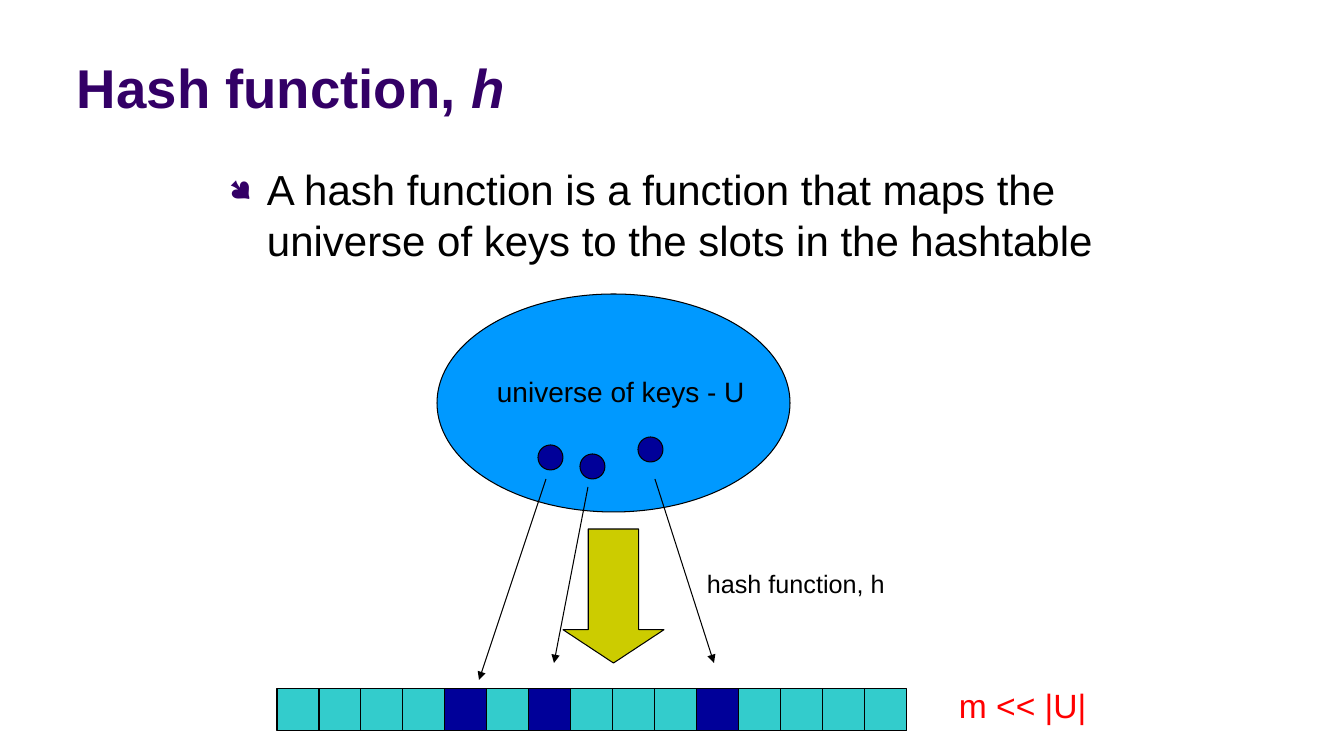
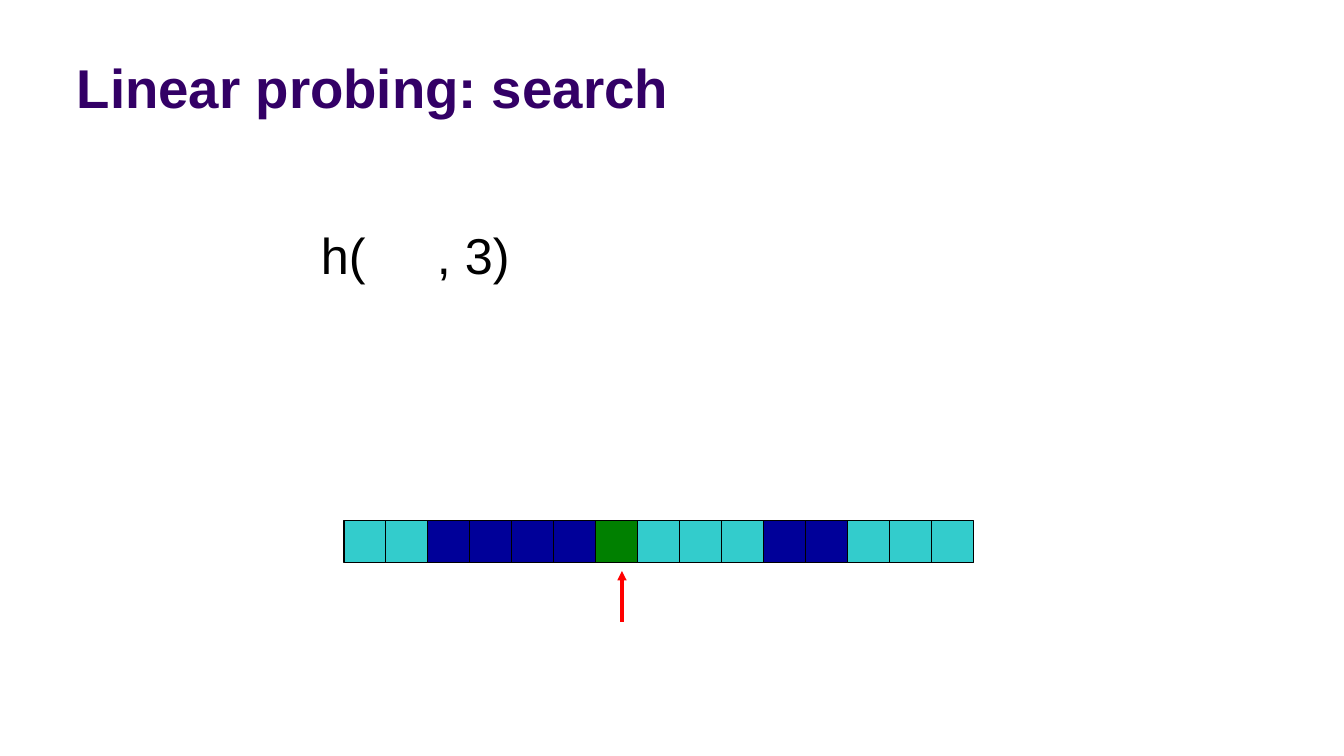
import pptx
import pptx.dml.color
import pptx.enum.shapes
import pptx.enum.text
import pptx.oxml
import pptx.oxml.ns
import pptx.util

RGB = pptx.dml.color.RGBColor
Kind = pptx.enum.shapes.MSO_SHAPE
Pt = pptx.util.Pt
PX = 9144000 / 1008
FONT = "Arial"
PURPLE = RGB(0x33, 0x00, 0x66)
BLACK = RGB(0, 0, 0)
RED = RGB(0xFF, 0, 0)
GREEN = RGB(0, 0x80, 0)
SKY = RGB(0, 0x99, 0xFF)
NAVY = RGB(0, 0, 0x99)
TEAL = RGB(0x33, 0xCC, 0xCC)
OLIVE = RGB(0xCC, 0xCC, 0)
CELL = 42
SLOTS = 15
NS = pptx.oxml.ns.nsdecls("a")


def shape(page, kind, box, fill):
    """Add a filled shape with a thin black outline; box is in pixels."""
    item = page.shapes.add_shape(kind, *[round(v * PX) for v in box])
    item.shadow.inherit = False
    item.fill.solid()
    item.fill.fore_color.rgb = fill
    item.line.color.rgb = BLACK
    item.line.width = Pt(0.75)
    return item


def line(page, ends, color=BLACK, width=0.75, head=False):
    """Add a straight line between two pixel points, with an optional arrowhead."""
    item = page.shapes.add_connector(
        pptx.enum.shapes.MSO_CONNECTOR.STRAIGHT, *[round(v * PX) for v in ends])
    item.line.color.rgb = color
    item.line.width = Pt(width)
    if head:
        item.line._get_or_add_ln().append(
            pptx.oxml.parse_xml(f'<a:tailEnd {NS} type="triangle"/>'))
    item._element.spPr.append(pptx.oxml.parse_xml(f"<a:effectLst {NS}/>"))


deck = pptx.Presentation()
deck.slide_width = round(1344 * PX)
deck.slide_height = round(756 * PX)
hash_page, probe_page = [deck.slides.add_slide(deck.slide_layouts[6]) for _ in range(2)]

# Universe of keys and the hash function arrow
shape(hash_page, Kind.OVAL, (437, 294, 353, 218), SKY)
down = shape(hash_page, Kind.DOWN_ARROW, (563, 529, 101, 134), OLIVE)
down.adjustments[0] = 0.5
down.adjustments[1] = 0.33

# Hash tables: left, top, and colour of each used slot
tables = [
    (hash_page, 277, 689, {4: NAVY, 6: NAVY, 10: NAVY}),
    (probe_page, 344, 521,
     {2: NAVY, 3: NAVY, 4: NAVY, 5: NAVY, 10: NAVY, 11: NAVY, 6: GREEN}),
]
for page, left, top, used in tables:
    shape(page, Kind.RECTANGLE, (left, top, SLOTS * CELL, CELL), TEAL)
    for n in range(1, SLOTS):
        x = left + n * CELL
        line(page, (x, top, x, top + CELL))
    for n, color in used.items():
        shape(page, Kind.RECTANGLE, (left + n * CELL, top, CELL, CELL), color)

# Keys and the slots they map to
keys = [
    (538, 445, (546, 479, 479, 680)),
    (580, 454, (588, 487, 554, 663)),
    (638, 437, (655, 479, 714, 663)),
]
for x, y, ends in keys:
    shape(hash_page, Kind.OVAL, (x, y, 25, 25), NAVY)
    line(hash_page, ends, head=True)

# Probe position
line(probe_page, (622, 622, 622, 571), RED, 2.25, True)

# Text: page, box, size, colour, runs
title = (67, 13, 1210, 111)
body = (219, 159, 907, 126)
call = (311, 219, 428, 71)
texts = [
    (hash_page, title, 39, PURPLE, ["Hash function, ", "h"]),
    (probe_page, title, 39, PURPLE, ["Linear probing: search"]),
    (hash_page, body, 30, BLACK,
     ["A hash function is a function that maps the universe of keys "
      "to the slots in the hashtable"]),
    (hash_page, (487, 370, 277, 43), 20, BLACK, ["universe of keys - U"]),
    (hash_page, (949, 680, 227, 50), 24, RED, ["m << |U|"]),
    (hash_page, (697, 563, 244, 40), 18, BLACK, ["hash function, h"]),
    (probe_page, call, 36, BLACK, ["h(\t, 3)"]),
]
for page, box, size, color, runs in texts:
    frame = page.shapes.add_textbox(*[round(v * PX) for v in box]).text_frame
    frame.word_wrap = True
    para = frame.paragraphs[0]
    for n, words in enumerate(runs):
        run = para.add_run()
        run.text = words
        run.font.name = FONT
        run.font.size = Pt(size)
        run.font.color.rgb = color
        run.font.bold = box == title
        run.font.italic = n == 1
    props = para._p.get_or_add_pPr()
    if box == title:
        frame.vertical_anchor = pptx.enum.text.MSO_ANCHOR.BOTTOM
    elif box == body:
        para.space_before = Pt(6)
        props.set("marL", str(round(38 * PX)))
        props.set("indent", str(round(-38 * PX)))
        for mark in (f'<a:buClr {NS}><a:srgbClr val="{PURPLE}"/></a:buClr>',
                     f'<a:buSzPct {NS} val="70000"/>',
                     f'<a:buFont {NS} typeface="Wingdings"/>',
                     f'<a:buChar {NS} char="●"/>'):
            props.append(pptx.oxml.parse_xml(mark))
    elif box == call:
        props.append(pptx.oxml.parse_xml(
            f'<a:tabLst {NS}><a:tab pos="{round(116 * PX)}" algn="l"/></a:tabLst>'))

deck.save("out.pptx")
